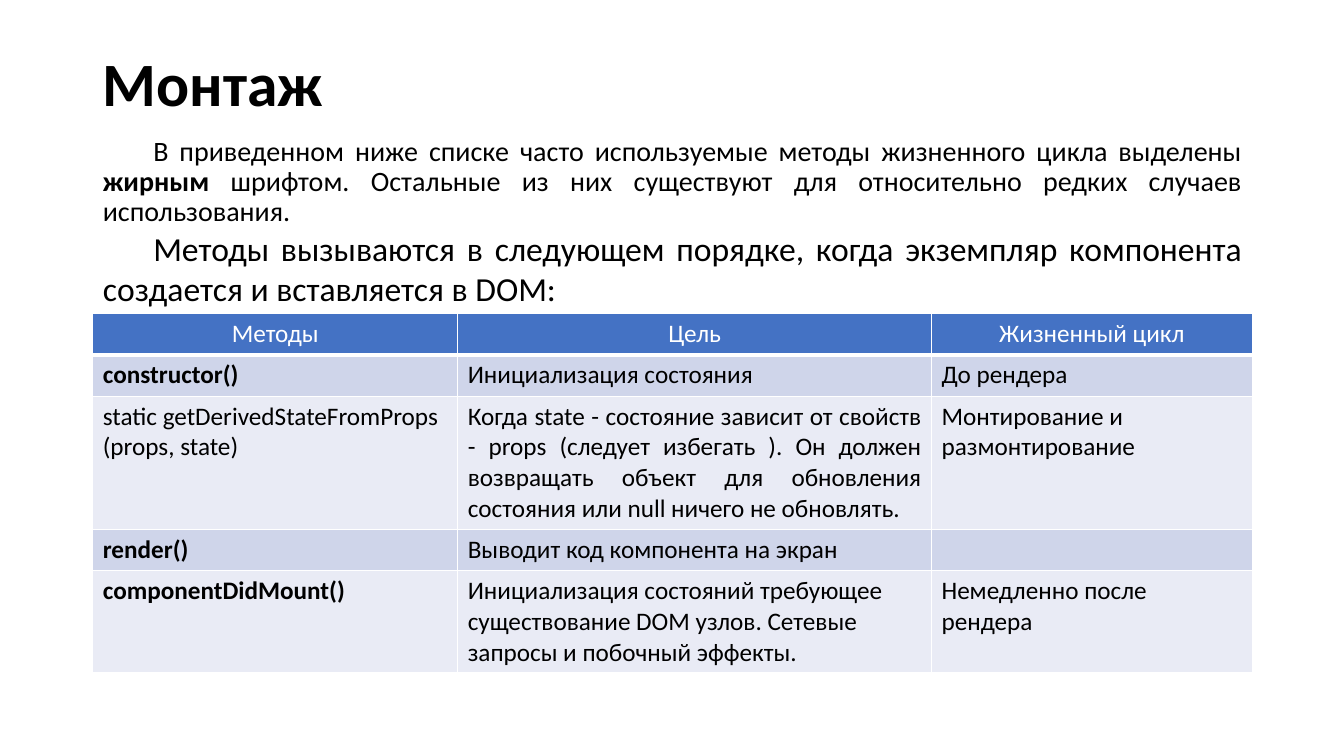
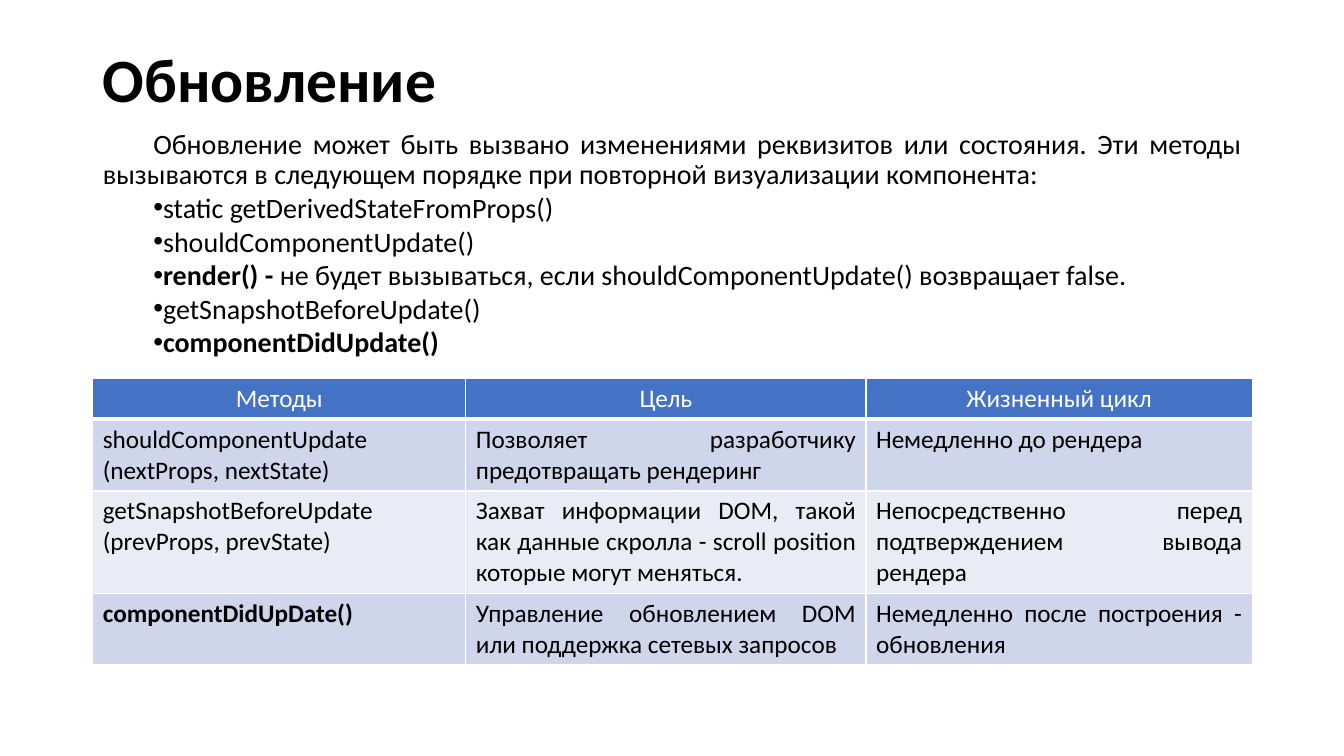
from dataclasses import dataclass

from lxml.etree import SubElement
from pptx import Presentation
from pptx.dml.color import RGBColor
from pptx.enum.text import MSO_ANCHOR, MSO_AUTO_SIZE, PP_ALIGN
from pptx.oxml.ns import qn
from pptx.util import Inches, Pt

COLORS = {
    "text": "000000",
    "white": "FFFFFF",
    "header": "4472C4",
    "odd_row": "CFD5EA",
    "even_row": "E9EBF5",
}
FONT = "Calibri"
LEFT, WIDTH = 0.92, 11.5
TITLE_TOP, BODY_BOTTOM = 0.4, 6.76
ROW_HEIGHT = 0.41
FIRST_LINE_INDENT = 0.5
HEADINGS = ("Методы", "Цель", "Жизненный цикл")


@dataclass
class Cell:
    text: str = ""
    bold: bool = False
    align: PP_ALIGN = PP_ALIGN.LEFT


@dataclass
class BodyParagraph:
    runs: list  # (text, bold) pairs
    size: int = 20
    align: PP_ALIGN = PP_ALIGN.JUSTIFY
    line_spacing: float = 1.0
    before: int = 0
    after: int = 0
    bullet: bool = False


def justified(text, bold=False):
    return Cell(text, bold, PP_ALIGN.JUSTIFY)


def bullet(*runs):
    return BodyParagraph(list(runs), align=PP_ALIGN.LEFT, bullet=True)


def add_run(paragraph, text, size, bold=False, color="text"):
    run = paragraph.add_run()
    run.text = text
    run.font.name = FONT
    run.font.size = Pt(size)
    run.font.bold = bold
    run.font.color.rgb = RGBColor.from_string(COLORS[color])


def place(shape, box):
    shape.left, shape.top, shape.width, shape.height = map(Inches, box)


def paragraphs_for(text_frame, items):
    """Yield each item with its own paragraph, reusing the first one."""
    for index, item in enumerate(items):
        yield (text_frame.add_paragraph() if index else text_frame.paragraphs[0]), item


def fill_title(shape, box, text):
    place(shape, box)
    frame = shape.text_frame
    frame.auto_size = MSO_AUTO_SIZE.NONE
    frame.vertical_anchor = MSO_ANCHOR.MIDDLE
    paragraph = frame.paragraphs[0]
    paragraph.alignment = PP_ALIGN.LEFT
    paragraph.line_spacing = 0.9
    add_run(paragraph, text, 44, bold=True)


def set_indent_and_bullet(paragraph, has_bullet):
    properties = paragraph._p.get_or_add_pPr()
    properties.set("marL", "0")
    properties.set("indent", str(Inches(FIRST_LINE_INDENT)))
    if has_bullet:
        SubElement(properties, qn("a:buFont")).set("typeface", "Arial")
        SubElement(properties, qn("a:buChar")).set("char", "•")
    else:
        SubElement(properties, qn("a:buNone"))


def fill_body(shape, box, items):
    place(shape, box)
    frame = shape.text_frame
    frame.auto_size = MSO_AUTO_SIZE.NONE
    for paragraph, item in paragraphs_for(frame, items):
        paragraph.alignment = item.align
        paragraph.line_spacing = item.line_spacing
        paragraph.space_before = Pt(item.before)
        paragraph.space_after = Pt(item.after)
        set_indent_and_bullet(paragraph, item.bullet)
        for text, bold in item.runs:
            add_run(paragraph, text, item.size, bold)


def set_borders(cell, bottom):
    properties = cell._tc.get_or_add_tcPr()
    widths = {"a:lnL": 1, "a:lnR": 1, "a:lnT": 1, "a:lnB": bottom}
    for position, (tag, width) in enumerate(widths.items()):
        line = SubElement(properties, qn(tag), w=str(Pt(width)))
        fill = SubElement(line, qn("a:solidFill"))
        SubElement(fill, qn("a:srgbClr"), val=COLORS["white"])
        properties.insert(position, line)  # borders come before the fill


def fill_cell(cell, content, fill, color, bottom_border):
    cell.fill.solid()
    cell.fill.fore_color.rgb = RGBColor.from_string(COLORS[fill])
    set_borders(cell, bottom_border)
    if not content.text:
        cell.text_frame.paragraphs[0].font.size = Pt(18)
        return
    for paragraph, text in paragraphs_for(cell.text_frame, content.text.split("\n")):
        paragraph.alignment = content.align
        add_run(paragraph, text, 18, content.bold, color)


def add_methods_table(slide, left, top, column_widths, rows):
    header = [Cell(heading, align=PP_ALIGN.CENTER) for heading in HEADINGS]
    all_rows = [header, *rows]
    table = slide.shapes.add_table(
        len(all_rows), len(HEADINGS), Inches(left), Inches(top),
        Inches(sum(column_widths)), Inches(ROW_HEIGHT * len(all_rows)),
    ).table
    for column, width in zip(table.columns, column_widths):
        column.width = Inches(width)
    for row_index, row in enumerate(all_rows):
        table.rows[row_index].height = Inches(ROW_HEIGHT)
        if row_index == 0:
            style = ("header", "white", 3)
        else:
            style = ("odd_row" if row_index % 2 else "even_row", "text", 1)
        for column_index, content in enumerate(row):
            fill_cell(table.cell(row_index, column_index), content, *style)


def add_methods_slide(presentation, title, title_height, body, table_top, column_widths, rows):
    slide = presentation.slides.add_slide(presentation.slide_layouts[1])
    body_top = TITLE_TOP + title_height
    fill_title(slide.shapes.title, (LEFT, TITLE_TOP, WIDTH, title_height), title)
    fill_body(slide.placeholders[1], (LEFT, body_top, WIDTH, BODY_BOTTOM - body_top), body)
    add_methods_table(slide, LEFT, table_top, column_widths, rows)


def main():
    presentation = Presentation()
    presentation.slide_width = Inches(13.33)
    presentation.slide_height = Inches(7.5)

    # Mounting
    add_methods_slide(
        presentation, "Монтаж", 0.91,
        [
            BodyParagraph([
                ("В приведенном ниже списке часто используемые методы жизненного цикла выделены ", False),
                ("жирным", True),
                (" шрифтом. Остальные из них существуют для относительно редких случаев "
                 "использования.", False),
            ], line_spacing=0.9, before=10),
            BodyParagraph([
                ("Методы вызываются в следующем порядке, когда экземпляр компонента "
                 "создается и вставляется в DOM:", False),
            ], size=24, after=10),
        ],
        3.11, (3.62, 4.7, 3.18),
        [
            [Cell("сonstructor()", True), Cell("Инициализация состояния"), Cell("До рендера")],
            [
                Cell("static getDerivedStateFromProps\n(props, state)"),
                justified("Когда state - состояние зависит от свойств - props (следует избегать ). "
                          "Он должен возвращать объект для обновления состояния или null ничего "
                          "не обновлять."),
                Cell("Монтирование и размонтирование"),
            ],
            [Cell("render()", True), Cell("Выводит код компонента на экран"), Cell()],
            [
                Cell("componentDidMount()", True),
                Cell("Инициализация состояний требующее существование DOM узлов. "
                     "Сетевые запросы и побочный эффекты."),
                Cell("Немедленно после рендера"),
            ],
        ],
    )

    # Updating
    add_methods_slide(
        presentation, "Обновление", 0.84,
        [
            BodyParagraph([
                ("Обновление может быть вызвано изменениями реквизитов или состояния. Эти методы "
                 "вызываются в следующем порядке при повторной визуализации компонента:", False),
            ], line_spacing=0.9, before=10),
            bullet(("static getDerivedStateFromProps()", False)),
            bullet(("shouldComponentUpdate()", False)),
            bullet(("render() - ", True),
                   ("не будет вызываться, если shouldComponentUpdate() возвращает false.", False)),
            bullet(("getSnapshotBeforeUpdate()", False)),
            bullet(("componentDidUpdate()", True)),
        ],
        3.75, (3.7, 3.97, 3.83),
        [
            [
                justified("shouldComponentUpdate\n(nextProps, nextState)"),
                justified("Позволяет разработчику предотвращать рендеринг"),
                justified("Немедленно до рендера"),
            ],
            [
                justified("getSnapshotBeforeUpdate\n(prevProps, prevState)"),
                justified("Захват информации DOM, такой как данные скролла - scroll position "
                          "которые могут меняться."),
                justified("Непосредственно перед подтверждением вывода рендера"),
            ],
            [
                justified("componentDidUpDate()", True),
                justified("Управление обновлением DOM или поддержка сетевых запросов"),
                justified("Немедленно после построения - обновления"),
            ],
        ],
    )

    presentation.save("out.pptx")


if __name__ == "__main__":
    main()
